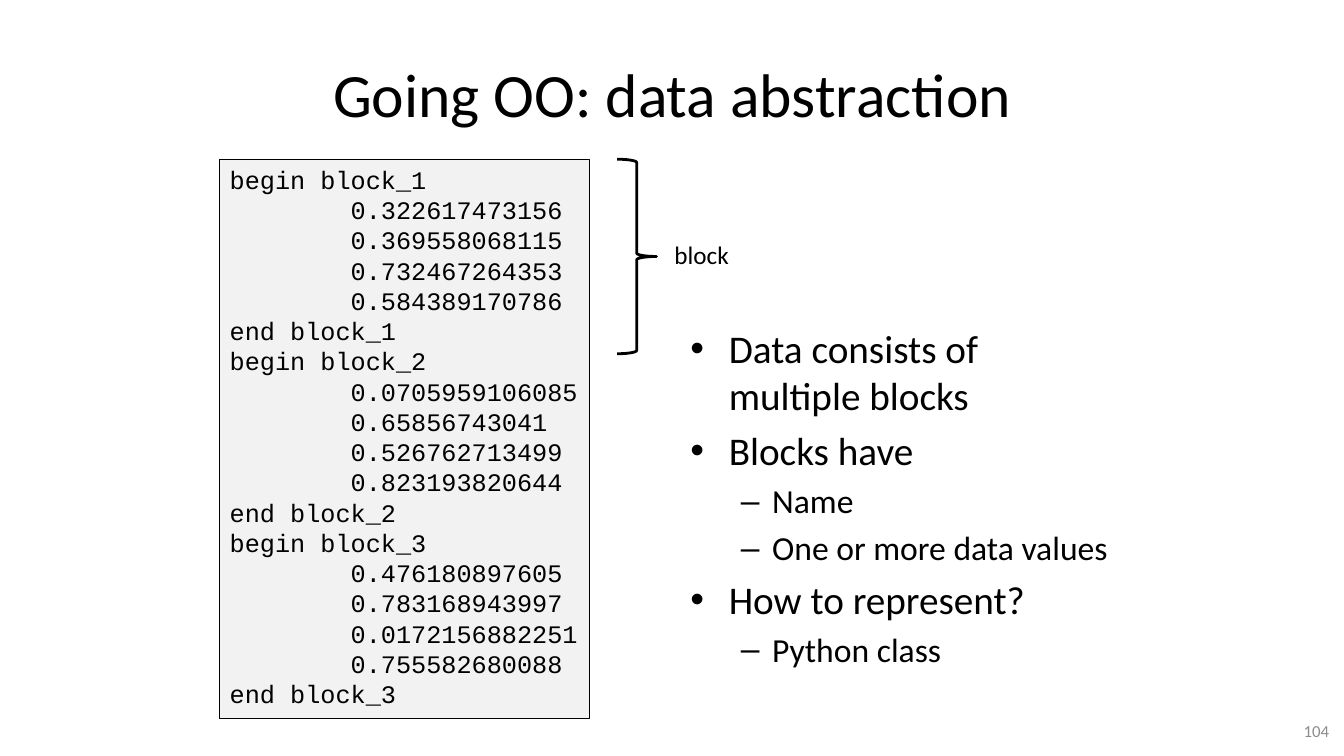
from lxml import etree
from pptx import Presentation
from pptx.dml.color import RGBColor
from pptx.enum.shapes import MSO_SHAPE
from pptx.enum.text import MSO_ANCHOR as Anchor, PP_ALIGN as Align
from pptx.oxml.ns import qn
from pptx.util import Inches, Pt

# Content
TITLE = "Going OO: data abstraction"
BLOCKS = [
    ("block_1", ["0.322617473156", "0.369558068115", "0.732467264353", "0.584389170786"]),
    ("block_2", ["0.0705959106085", "0.65856743041", "0.526762713499", "0.823193820644"]),
    ("block_3", ["0.476180897605", "0.783168943997", "0.0172156882251", "0.755582680088"]),
]
BULLETS = [  # level, text
    (0, "Data consists of multiple blocks"),
    (0, "Blocks have"),
    (1, "Name"),
    (1, "One or more data values"),
    (0, "How to represent?"),
    (1, "Python class"),
]
BRACE_LABEL = "block"
SLIDE_NUMBER = "104"

# Style
BLACK = RGBColor(0x00, 0x00, 0x00)
GRAY = RGBColor(0x8C, 0x8C, 0x8C)
PALE_GRAY = RGBColor(0xF2, 0xF2, 0xF2)
BODY_FONT, CODE_FONT = "Calibri", "Courier New"
LEVELS = [  # bullet, size, left margin, hanging indent
    ("•", 28, 0.38, 0.38),
    ("–", 24, 0.81, 0.31),
]
VALUE_INDENT = 1.2
CODE_TOP = 1.58

presentation = Presentation()
presentation.slide_width, presentation.slide_height = Inches(13.33), Inches(7.5)
slide = presentation.slides.add_slide(presentation.slide_layouts[6])


def add_text(box, lines, size, font=BODY_FONT, color=BLACK, align=Align.LEFT,
             anchor=Anchor.TOP, wrap=True):
    shape = slide.shapes.add_textbox(*map(Inches, box))
    frame = shape.text_frame
    frame.word_wrap, frame.vertical_anchor = wrap, anchor
    frame.text = "\n".join(lines)
    for paragraph in frame.paragraphs:
        paragraph.alignment = align
        paragraph.font.size, paragraph.font.name = Pt(size), font
        paragraph.font.color.rgb = color
    return shape


def set_indent(paragraph, left, hanging=0):
    properties = paragraph._p.get_or_add_pPr()
    properties.set("marL", str(Inches(left)))
    properties.set("indent", str(-Inches(hanging)))
    return properties


# Title
add_text((0.67, 0.3, 12, 1.25), [TITLE], 44, align=Align.CENTER, anchor=Anchor.MIDDLE)

# Bulleted list
bullet_box = add_text((6.75, 3.17, 4.42, 3.89), [text for _, text in BULLETS], 28)
for paragraph, (level, _) in zip(bullet_box.text_frame.paragraphs, BULLETS):
    bullet, size, left, hanging = LEVELS[level]
    paragraph.level = level
    paragraph.font.size = Pt(size)
    paragraph.space_before = Pt(size * 0.2)
    properties = set_indent(paragraph, left, hanging)
    bullet_font = etree.Element(qn("a:buFont"), typeface="Arial")
    bullet_char = etree.Element(qn("a:buChar"), char=bullet)
    spacing = properties.find(qn("a:spcBef"))
    spacing.addnext(bullet_font)
    bullet_font.addnext(bullet_char)

# Data listing
code_lines = []  # indent, text
for name, values in BLOCKS:
    code_lines.append((0, f"begin {name}"))
    code_lines += [(VALUE_INDENT, value) for value in values]
    code_lines.append((0, f"end {name}"))
code_box = add_text((2.18, CODE_TOP, 3.67, 5.55), [text for _, text in code_lines],
                    18, font=CODE_FONT)
code_box.text_frame.margin_right = Inches(0.05)
code_box.fill.solid()
code_box.fill.fore_color.rgb = PALE_GRAY
code_box.line.color.rgb = BLACK
code_box.line.width = Pt(0.75)
for paragraph, (indent, _) in zip(code_box.text_frame.paragraphs, code_lines):
    set_indent(paragraph, indent)

# Brace around the first block
brace = slide.shapes.add_shape(MSO_SHAPE.RIGHT_BRACE, Inches(6.12), Inches(CODE_TOP),
                               Inches(0.39), Inches(1.93))
brace.shadow.inherit = False
brace.fill.background()
brace.line.color.rgb = BLACK
brace.line.width = Pt(2)
add_text((6.59, 2.33, 0.75, 0.4), [BRACE_LABEL], 18, wrap=False)

# Slide number
add_text((10.17, 7.05, 3.11, 0.4), [SLIDE_NUMBER], 12, color=GRAY,
         align=Align.RIGHT, anchor=Anchor.MIDDLE)

presentation.save("out.pptx")
